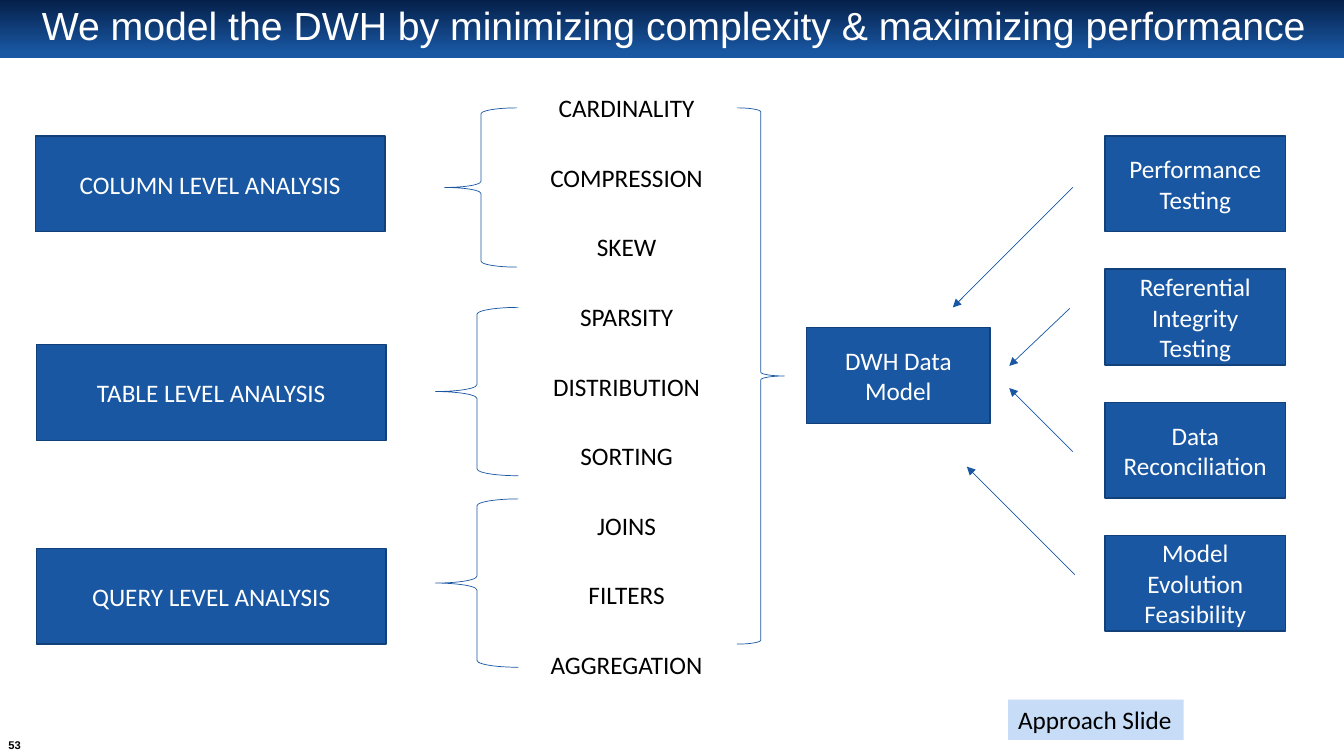
from pptx import Presentation
from pptx.dml.color import RGBColor
from pptx.enum.shapes import MSO_CONNECTOR, MSO_SHAPE
from pptx.enum.text import MSO_ANCHOR, PP_ALIGN
from pptx.oxml.ns import qn
from pptx.util import Inches, Pt
from lxml import etree

RECTANGLE = MSO_SHAPE.RECTANGLE
LEFT_BRACE = MSO_SHAPE.LEFT_BRACE
RIGHT_BRACE = MSO_SHAPE.RIGHT_BRACE
STRAIGHT = MSO_CONNECTOR.STRAIGHT
CENTER = PP_ALIGN.CENTER
LEFT = PP_ALIGN.LEFT
MIDDLE = MSO_ANCHOR.MIDDLE
TOP = MSO_ANCHOR.TOP


def color(value):
    return RGBColor.from_string(value)


class Board:
    navy = "052049"
    blue = "1957A3"
    edge = "124079"
    pale = "C7DCF6"
    white = "FFFFFF"
    black = "000000"
    body_font = "Calibri"
    title_font = "Arial"

    def __init__(self, slide):
        self.slide = slide

    def shape(self, kind, box):
        item = self.slide.shapes.add_shape(kind, *map(Inches, box))
        item.shadow.inherit = False
        return item

    def set_text(self, item, text, ink, size=18, font=body_font, align=CENTER,
                 anchor=MIDDLE, wrap=True, bold=False):
        frame = item.text_frame
        frame.word_wrap = wrap
        frame.vertical_anchor = anchor
        paragraph = frame.paragraphs[0]
        paragraph.alignment = align
        run = paragraph.add_run()
        run.text = text
        run.font.name = font
        run.font.size = Pt(size)
        run.font.bold = bold
        run.font.color.rgb = color(ink)
        return frame

    def label(self, text, box, ink=black, **style):
        item = self.slide.shapes.add_textbox(*map(Inches, box))
        return self.set_text(item, text, ink, **style)

    def banner(self, box):
        item = self.shape(RECTANGLE, box)
        item.line.fill.background()
        item.fill.gradient()
        item.fill.gradient_angle = 270
        stops = ((0, self.navy), (0.9, self.blue))
        for stop, (position, shade) in zip(item.fill.gradient_stops, stops):
            stop.position = position
            stop.color.rgb = color(shade)

    def card(self, text, box):
        item = self.shape(RECTANGLE, box)
        item.fill.solid()
        item.fill.fore_color.rgb = color(self.blue)
        item.line.color.rgb = color(self.edge)
        item.line.width = Pt(1)
        self.set_text(item, text, self.white)

    def tag(self, text, box):
        item = self.shape(RECTANGLE, box)
        item.fill.solid()
        item.fill.fore_color.rgb = color(self.pale)
        item.line.fill.background()
        self.set_text(item, text, self.black, align=LEFT, anchor=TOP, wrap=False)

    def brace(self, kind, box):
        item = self.shape(kind, box)
        item.fill.background()
        item.line.color.rgb = color(self.blue)
        item.line.width = Pt(0.5)

    def arrow(self, start, end):
        item = self.slide.shapes.add_connector(
            STRAIGHT, *map(Inches, start + end))
        item.line.color.rgb = color(self.blue)
        item.line.width = Pt(0.5)
        properties = item.element.spPr
        outline = properties.find(qn("a:ln"))
        etree.SubElement(outline, qn("a:tailEnd"), type="triangle")
        etree.SubElement(properties, qn("a:effectLst"))


def main():
    deck = Presentation()
    deck.slide_width = Inches(13.33)
    deck.slide_height = Inches(7.5)
    board = Board(deck.slides.add_slide(deck.slide_layouts[6]))

    board.banner((0, 0, 13.33, 0.58))
    title = board.label(
        "We model the DWH by minimizing complexity & maximizing performance",
        (0.09, 0.05, 13.18, 0.45), board.white, size=28, font=board.title_font)
    title.paragraphs[0].line_spacing = 0.9
    page = board.label("53", (0.02, 7.3, 0.25, 0.19), size=8,
                       font=board.title_font, wrap=False, bold=True)
    page.margin_left = page.margin_right = 0
    page.margin_top = page.margin_bottom = 0

    card_height = 0.95
    levels = (("COLUMN", 0.35, 1.35), ("TABLE", 0.36, 3.42),
              ("QUERY", 0.36, 5.44))
    for level, left, top in levels:
        board.card(f"{level} LEVEL ANALYSIS", (left, top, 3.47, card_height))

    factors = ("CARDINALITY", "COMPRESSION", "SKEW", "SPARSITY",
               "DISTRIBUTION", "SORTING", "JOINS", "FILTERS", "AGGREGATION")
    for row, factor in enumerate(factors):
        board.label(factor, (5.35, 0.87 + 0.69 * row, 1.73, 0.4),
                    anchor=TOP, wrap=False)

    for box in ((4.41, 1.07, 0.72, 1.58), (4.32, 3.05, 0.82, 1.67),
                (4.32, 4.95, 0.82, 1.67)):
        board.brace(LEFT_BRACE, box)
    board.brace(RIGHT_BRACE, (7.31, 1.07, 0.47, 5.32))

    board.card("DWH Data Model", (8, 3.25, 1.82, card_height))

    checks = (
        ("Performance Testing", (10.64, 1.86), (9.45, 3.05)),
        ("Referential Integrity Testing", (10.61, 3.06), (10.01, 3.63)),
        ("Data Reconciliation", (10.64, 4.48), (10.01, 3.85)),
        ("Model Evolution Feasibility", (10.66, 5.7), (9.59, 4.63)),
    )
    for row, (check, start, end) in enumerate(checks):
        board.card(check, (10.96, 1.35 + 1.32 * row, 1.79, card_height))
        board.arrow(start, end)

    board.tag("Approach Slide", (10, 6.94, 1.74, 0.4))
    deck.save("out.pptx")


if __name__ == "__main__":
    main()
